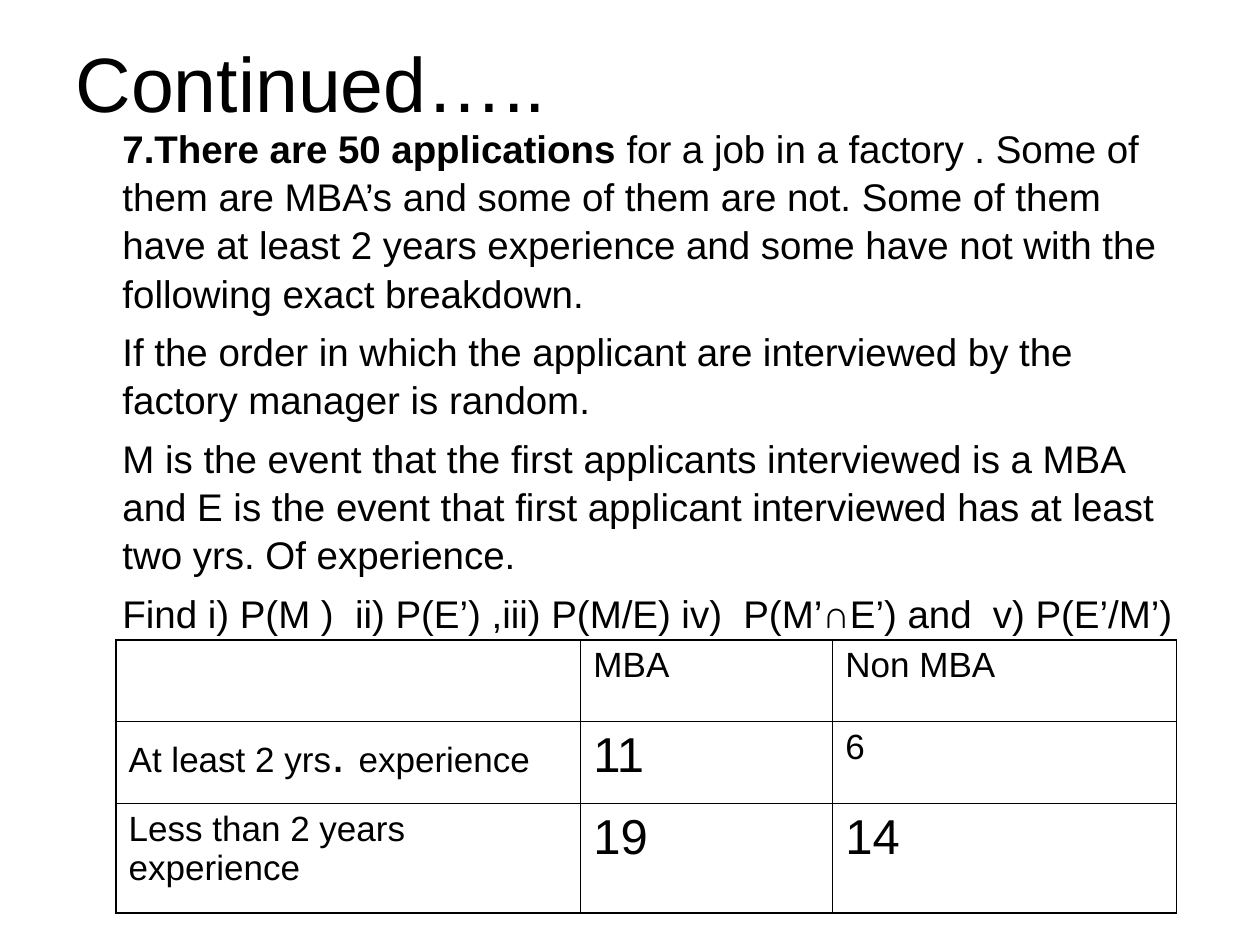
from dataclasses import dataclass

from lxml import etree
from pptx import Presentation
from pptx import util as u
from pptx.dml import color
from pptx.enum import text
from pptx.oxml import ns

BLACK = "000000"
FONT = "Arial"
BODY_SIZE = 22
LABEL_SIZE = 20
VALUE_SIZE = 28
OUTER_LINE = 1.08
INNER_LINE = 0.45


@dataclass
class Span:
    words: str
    size: float
    bold: bool = False


@dataclass
class Entry:
    spans: list[Span]
    space_before: float = 5


def label(words: str) -> Entry:
    return Entry([Span(words, LABEL_SIZE)])


def value(words: str) -> Entry:
    return Entry([Span(words, VALUE_SIZE)], space_before=7)


PROBLEM = [
    [
        Span("7.There are 50 applications", BODY_SIZE, bold=True),
        Span(" for a job in a factory . Some of them are MBA’s and some of them "
             "are not. Some of them have at least 2 years experience and some "
             "have not with the following exact breakdown.", BODY_SIZE),
    ],
    [Span("If the order in which the applicant are interviewed by the factory "
          "manager is random.", BODY_SIZE)],
    [Span("M is the event that the first applicants interviewed is a MBA and E "
          "is the event that first applicant interviewed has at least two yrs. "
          "Of experience.", BODY_SIZE)],
    [Span("Find i) P(M )  ii) P(E’) ,iii) P(M/E) iv)  P(M’∩E’) and  "
          "v) P(E’/M’)", BODY_SIZE)],
]

AT_LEAST = Entry([
    Span("At least 2 yrs", LABEL_SIZE),
    Span(". ", VALUE_SIZE),
    Span("experience", LABEL_SIZE),
])
BREAKDOWN = [
    [label(""), label("MBA"), label("Non MBA")],
    [AT_LEAST, value("11"), label("6")],
    [label("Less than 2 years experience"), value("19"), value("14")],
]
COLUMN_WIDTHS = [9.37, 5.08, 6.93]
ROW_HEIGHTS = [1.65, 1.65, 2.21]


def rgb(hex_code: str) -> color.RGBColor:
    return color.RGBColor.from_string(hex_code)


def write(paragraph, spans: list[Span]) -> None:
    for span in spans:
        run = paragraph.add_run()
        run.text = span.words
        run.font.name = FONT
        run.font.size = u.Pt(span.size)
        run.font.bold = span.bold
        run.font.color.rgb = rgb(BLACK)


def set_borders(cell, widths: dict[str, float]) -> None:
    """Draw the cell's edges; widths go from side (L, R, T, B) to points."""
    properties = cell._tc.get_or_add_tcPr()
    for position, (side, width) in enumerate(widths.items()):
        line = etree.Element(ns.qn(f"a:ln{side}"), w=str(u.Pt(width)))
        fill = etree.SubElement(line, ns.qn("a:solidFill"))
        etree.SubElement(fill, ns.qn("a:srgbClr"), val=BLACK)
        properties.insert(position, line)


def add_title(slide, words: str) -> None:
    title = slide.shapes.title
    title.left, title.top = u.Cm(1.27), u.Cm(0.76)
    title.width, title.height = u.Cm(22.86), u.Cm(1.78)
    frame = title.text_frame
    frame.vertical_anchor = text.MSO_ANCHOR.MIDDLE
    frame.paragraphs[0].alignment = text.PP_ALIGN.LEFT
    write(frame.paragraphs[0], [Span(words, 44)])


def add_problem(slide, paragraphs: list[list[Span]]) -> None:
    box = slide.shapes.add_textbox(u.Cm(1.27), u.Cm(2.34), u.Cm(22.86), u.Cm(15.88))
    frame = box.text_frame
    frame.word_wrap = True
    frame.margin_left = u.Cm(1.2)
    for index, spans in enumerate(paragraphs):
        paragraph = frame.add_paragraph() if index else frame.paragraphs[0]
        paragraph.space_before = u.Pt(5.5)
        paragraph.line_spacing = 1.05
        write(paragraph, spans)


def add_breakdown(slide, rows: list[list[Entry]]) -> None:
    last_row, last_column = len(rows) - 1, len(rows[0]) - 1
    table = slide.shapes.add_table(
        len(rows), len(rows[0]), u.Cm(2.34), u.Cm(12.9),
        u.Cm(sum(COLUMN_WIDTHS)), u.Cm(sum(ROW_HEIGHTS))).table
    table.first_row = table.horz_banding = False
    for column, width in zip(table.columns, COLUMN_WIDTHS):
        column.width = u.Cm(width)
    for row, height in zip(table.rows, ROW_HEIGHTS):
        row.height = u.Cm(height)
    for r, entries in enumerate(rows):
        for c, entry in enumerate(entries):
            cell = table.cell(r, c)
            cell.fill.background()
            outer = {"L": c == 0, "R": c == last_column,
                     "T": r == 0, "B": r == last_row}
            set_borders(cell, {side: OUTER_LINE if edge else INNER_LINE
                               for side, edge in outer.items()})
            paragraph = cell.text_frame.paragraphs[0]
            paragraph.space_before = u.Pt(entry.space_before)
            write(paragraph, entry.spans)


def main() -> None:
    deck = Presentation()
    deck.slide_width, deck.slide_height = u.Cm(25.4), u.Cm(19.05)
    slide = deck.slides.add_slide(deck.slide_layouts[5])
    add_title(slide, "Continued…..")
    add_problem(slide, PROBLEM)
    add_breakdown(slide, BREAKDOWN)
    deck.save("out.pptx")


if __name__ == "__main__":
    main()
